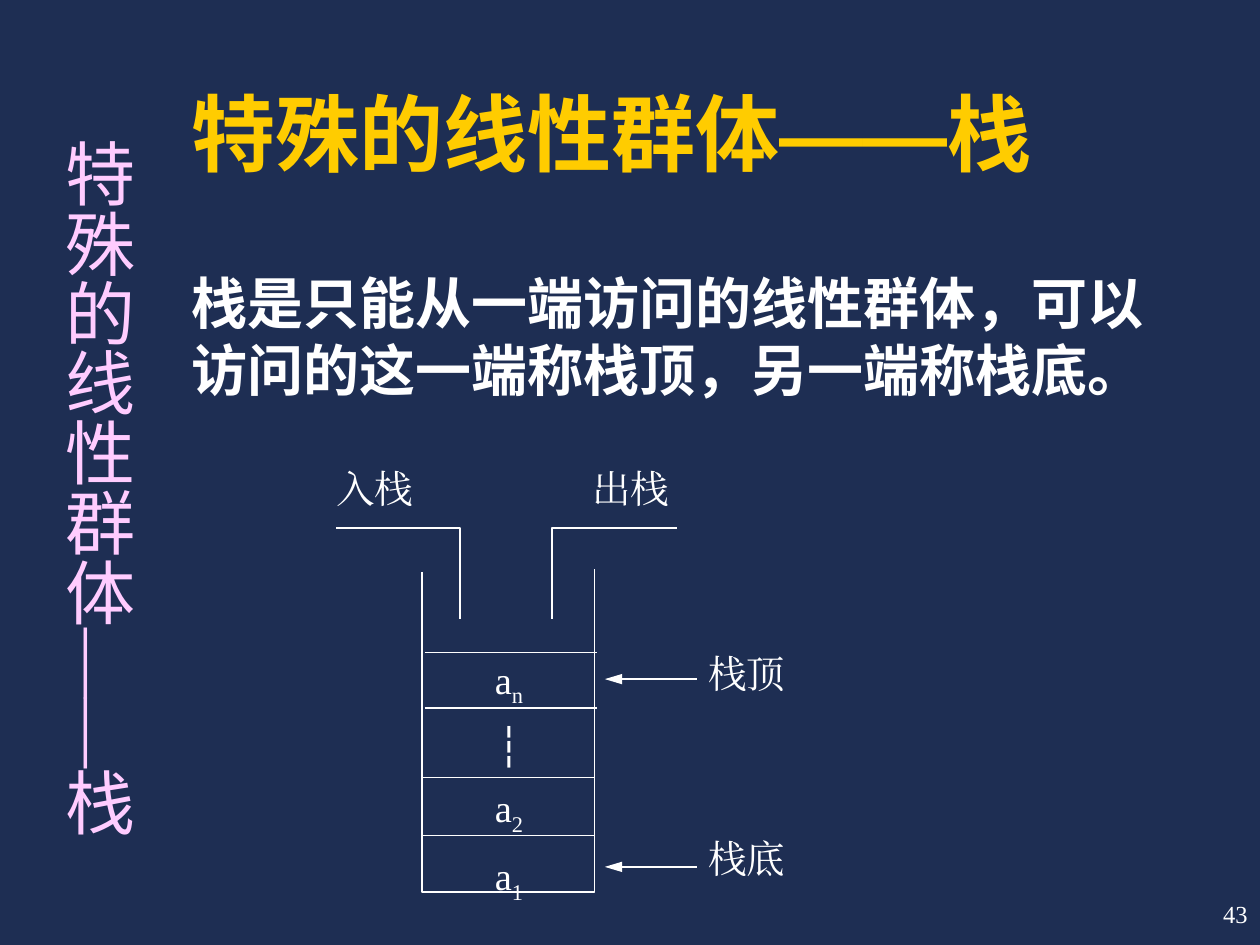
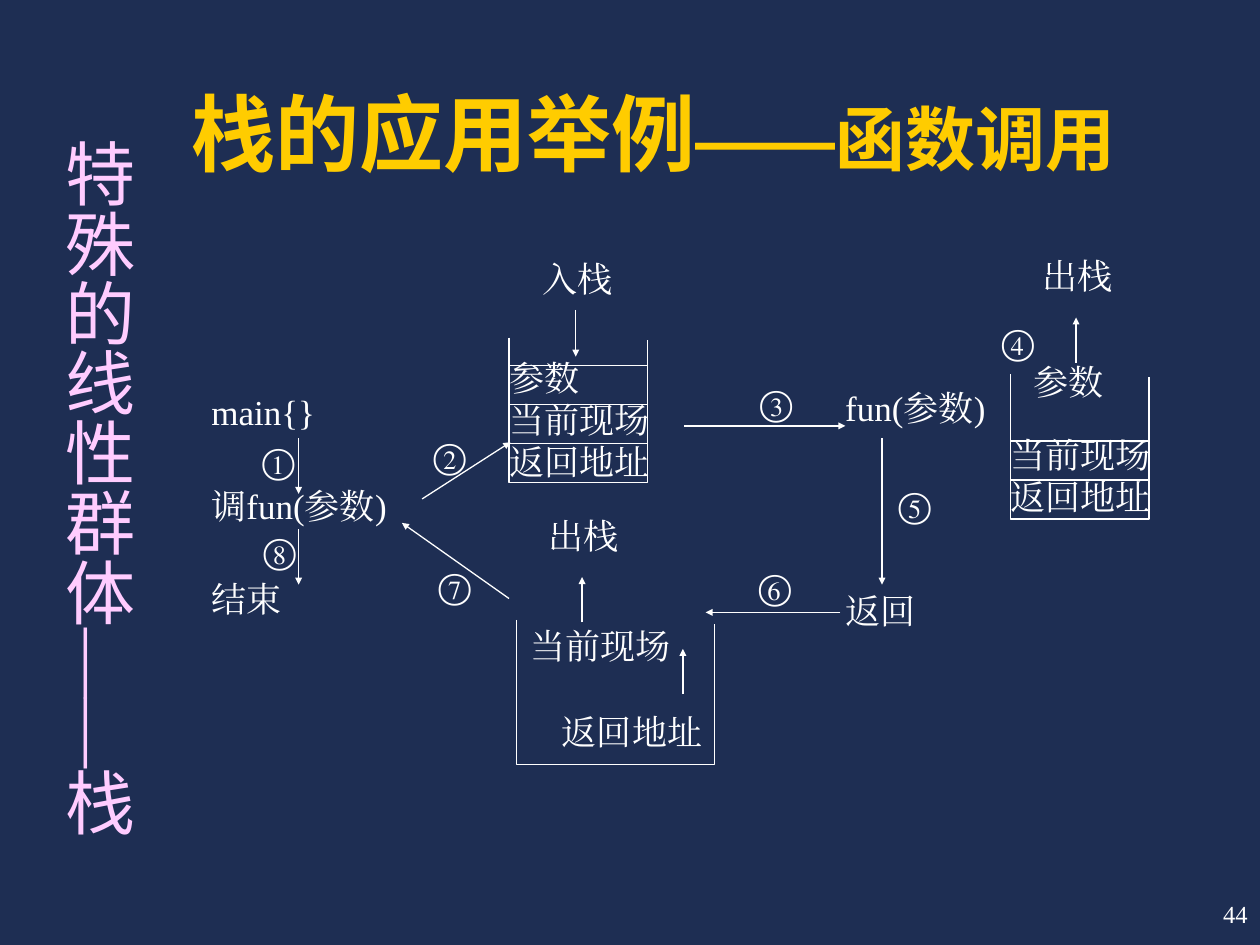
from lxml import etree
from pptx import Presentation
from pptx.dml.color import RGBColor
from pptx.enum.shapes import MSO_CONNECTOR
from pptx.enum.text import MSO_ANCHOR, PP_ALIGN
from pptx.oxml.ns import qn
from pptx.util import Inches, Pt

LINE = MSO_CONNECTOR.STRAIGHT
LEFT, RIGHT, MID, JUST = PP_ALIGN.LEFT, PP_ALIGN.RIGHT, PP_ALIGN.CENTER, PP_ALIGN.JUSTIFY
TOP, CENTER, BOTTOM = MSO_ANCHOR.TOP, MSO_ANCHOR.MIDDLE, MSO_ANCHOR.BOTTOM
NAVY, WHITE, GOLD, PINK = "1E2E53", "FFFFFF", "FFCC00", "FFCCFF"
SANS, HAN, SERIF = "Arial", "Noto Sans CJK SC", "Times New Roman"
THIN = 0.74
PAD = (0.1, 0.05)


def color(code):
    return RGBColor.from_string(code)


def write(para, text, size=20, face=SERIF, ink=WHITE, bold=False, base=0):
    run = para.add_run()
    run.text = text
    font = run.font
    font.size, font.name, font.bold = Pt(size), face, bold
    font.color.rgb = color(ink)
    props = font._element
    etree.SubElement(props, qn("a:ea")).set("typeface", face)
    if base:
        props.set("baseline", str(base * 1000))


def fill(frame, lines, pad=(0, 0), align=JUST, anchor=TOP, wrap=True,
         space=1.0, gaps=(), **style):
    frame.word_wrap = wrap
    frame.vertical_anchor = anchor
    frame.margin_left = frame.margin_right = Inches(pad[0])
    frame.margin_top = frame.margin_bottom = Inches(pad[1])
    for i, line in enumerate(lines):
        para = frame.paragraphs[0] if i == 0 else frame.add_paragraph()
        para.alignment, para.line_spacing = align, space
        para.space_before = Pt(gaps[i] if i < len(gaps) else 0)
        for part in [(line, {})] if isinstance(line, str) else line:
            write(para, part[0], **{**style, **part[1]})


def place(shape, x, y, w, h):
    shape.left, shape.top = Inches(x), Inches(y)
    shape.width, shape.height = Inches(w), Inches(h)


def label(slide, x, y, w, h, *lines, **style):
    box = slide.shapes.add_textbox(Inches(x), Inches(y), Inches(w), Inches(h))
    fill(box.text_frame, lines, **style)
    return box.text_frame


def rule(slide, x1, y1, x2, y2, tip=None):
    line = slide.shapes.add_connector(
        LINE, Inches(x1), Inches(y1), Inches(x2), Inches(y2))
    line.line.color.rgb = color(WHITE)
    line.line.width = Pt(THIN)
    props = line._element.spPr
    if tip:
        end = etree.SubElement(props.find(qn("a:ln")), qn("a:tailEnd"))
        for key, val in zip(("type", "w", "len"), ("triangle",) + tip):
            end.set(key, val)
    etree.SubElement(props, qn("a:effectLst"))


BIG, SMALL = ("med", "lg"), ("sm", "sm")


def trace(slide, *points):
    spots = [(Inches(x), Inches(y)) for x, y in points]
    pen = slide.shapes.build_freeform(*spots[0])
    pen.add_line_segments(spots[1:], close=False)
    shape = pen.convert_to_shape()
    shape.shadow.inherit = False
    shape.fill.background()
    shape.line.color.rgb = color(WHITE)
    shape.line.width = Pt(THIN)


def tray(slide, x, y, w, h, lip=0.02, rows=(), skew=()):
    trace(slide, (x, y), (x, y + h), (x + w, y + h), (x + w, y + lip))
    for i, row in enumerate(rows):
        dx = skew[i] if skew else 0
        rule(slide, x + dx, y + row, x + w + dx, y + row)


def page(deck, number, title):
    slide = deck.slides.add_slide(deck.slide_layouts[5])
    label(slide, 7.92, 7, 2.08, 0.5, number, size=14, pad=PAD,
          align=RIGHT, anchor=CENTER, wrap=False)
    head = slide.shapes.title
    place(head, 1.42, 0.25, 7.83, 1.25)
    fill(head.text_frame, [title], pad=PAD, align=LEFT, anchor=BOTTOM,
         size=48, face=SANS, ink=GOLD, bold=True)
    side = label(slide, 0.3, 1, 0.86, 5.75,
                 [("特殊的线性群体", {}), ("——", {"face": SERIF}), ("栈", {})],
                 size=40, face=HAN, ink=PINK, pad=(0.05, 0.1),
                 align=LEFT, gaps=(25,))
    side._txBody.bodyPr.set("vert", "eaVert")
    return slide


def stack(slide, x, y):
    tray(slide, x, y, 1.37, 2.54, lip=-0.02,
         rows=(0.64, 1.08, 1.63, 2.09), skew=(0.02, 0.02, 0, 0))
    low = {"base": -25}
    cells = [[("a", {}), (n, low)] for n in ("n", "2", "1")]
    cells.insert(1, "┆")
    label(slide, x + 0.07, y + 0.54, 1.24, 1.99, *cells,
          size=22, align=MID, space=1.3)
    for far, near, tx, name in ((-0.68, 0.3, -0.68, "入栈"), (2.02, 1.03, 1.35, "出栈")):
        trace(slide, (x + far, y - 0.35), (x + near, y - 0.35), (x + near, y + 0.37))
        label(slide, x + tx, y - 0.85, 0.94, 0.43, name, size=22)
    for dy, ty, name in ((0.85, 0.62, "栈顶"), (2.34, 2.09, "栈底")):
        rule(slide, x + 2.18, y + dy, x + 1.45, y + dy, BIG)
        label(slide, x + 2.27, y + ty, 1.63, 0.46, name, size=22)


def caller(slide, x, y):
    label(slide, x, y, 1.84, 2.06, "main{}", "调fun(参数)", "结束",
          pad=PAD, space=1.1, gaps=(0, 27, 27))
    for dy in (0.46, 1.18):
        rule(slide, x + 0.79, y + dy, x + 0.79, y + dy + 0.44, SMALL)


def callee(slide, x, y):
    label(slide, x, y, 1.55, 2.06, "fun(参数)", "返回", pad=PAD, gaps=(0, 92))
    rule(slide, x + 0.39, y + 0.46, x + 0.39, y + 1.62, SMALL)


def push(slide, x, y):
    label(slide, x, y + 0.15, 1.15, 0.99, "参数", "当前现场", "返回地址")
    tray(slide, x, y, 1.1, 1.15, rows=(0.84, 0.53, 0.22))
    rule(slide, x + 0.53, y - 0.22, x + 0.53, y + 0.15, SMALL)
    label(slide, x + 0.13, y - 0.64, 0.82, 0.35, "入栈", align=MID)


def leave(slide, x, y, dy):
    rule(slide, x + 0.52, y + dy + 0.36, x + 0.52, y + dy, SMALL)
    label(slide, x + 0.12, y + dy - 0.5 + 0.13 - 0.13, 0.82, 0.35, "出栈", align=MID)


def take(slide, x, y):
    label(slide, x, y + 0.47, 1.15, 0.71, "当前现场", "返回地址")
    tray(slide, x, y, 1.1, 1.15, rows=(0.84, 0.53))
    leave(slide, x, y, -0.45)
    label(slide, x + 0.18, y - 0.11, 0.75, 0.35, "参数")


def restore(slide, x, y):
    tray(slide, x, y, 1.57, 1.15, lip=0.03)
    leave(slide, x, y, -0.34)
    text = label(slide, x + 0.11, y + 0.04, 1.41, 1.2,
                 "当前现场", "返回地址", gaps=(0, 25))
    text.paragraphs[1]._p.get_or_add_pPr().set("marL", str(Inches(0.25)))
    rule(slide, x + 1.32, y + 0.59, x + 1.32, y + 0.23, SMALL)


def steps(slide):
    spots = ((2.08, 3.49), (3.44, 3.45), (6.03, 3.03), (7.95, 2.54),
             (7.13, 3.84), (6.02, 4.49), (3.48, 4.48), (2.09, 4.2))
    for mark, (x, y) in zip("①②③④⑤⑥⑦⑧", spots):
        label(slide, x, y, 0.29, 0.29, mark)
    for ends in ((3.35, 3.96, 4.05, 3.51), (5.43, 3.38, 6.71, 3.38),
                 (6.67, 4.86, 5.6, 4.86), (4.04, 4.75, 3.19, 4.15)):
        rule(slide, *ends, SMALL)


def main():
    deck = Presentation()
    deck.slide_width, deck.slide_height = Inches(10), Inches(7.5)
    back = deck.slide_master.background.fill
    back.solid()
    back.fore_color.rgb = color(NAVY)

    first = page(deck, "43", "特殊的线性群体——栈")
    label(first, 1.42, 2.08, 7.92, 1.92,
          "栈是只能从一端访问的线性群体，可以访问的这一端称栈顶，另一端称栈底。",
          size=32, face=SANS, bold=True, pad=PAD, align=LEFT, gaps=(8,))
    stack(first, 3.35, 4.54)

    second = page(deck, "44", [("栈的应用举例", {}), ("——函数调用", {"size": 40})])
    caller(second, 1.58, 3.02)
    callee(second, 6.61, 3.02)
    push(second, 4.04, 2.68)
    take(second, 8.02, 2.97)
    restore(second, 4.1, 4.92)
    steps(second)
    deck.save("out.pptx")


main()
